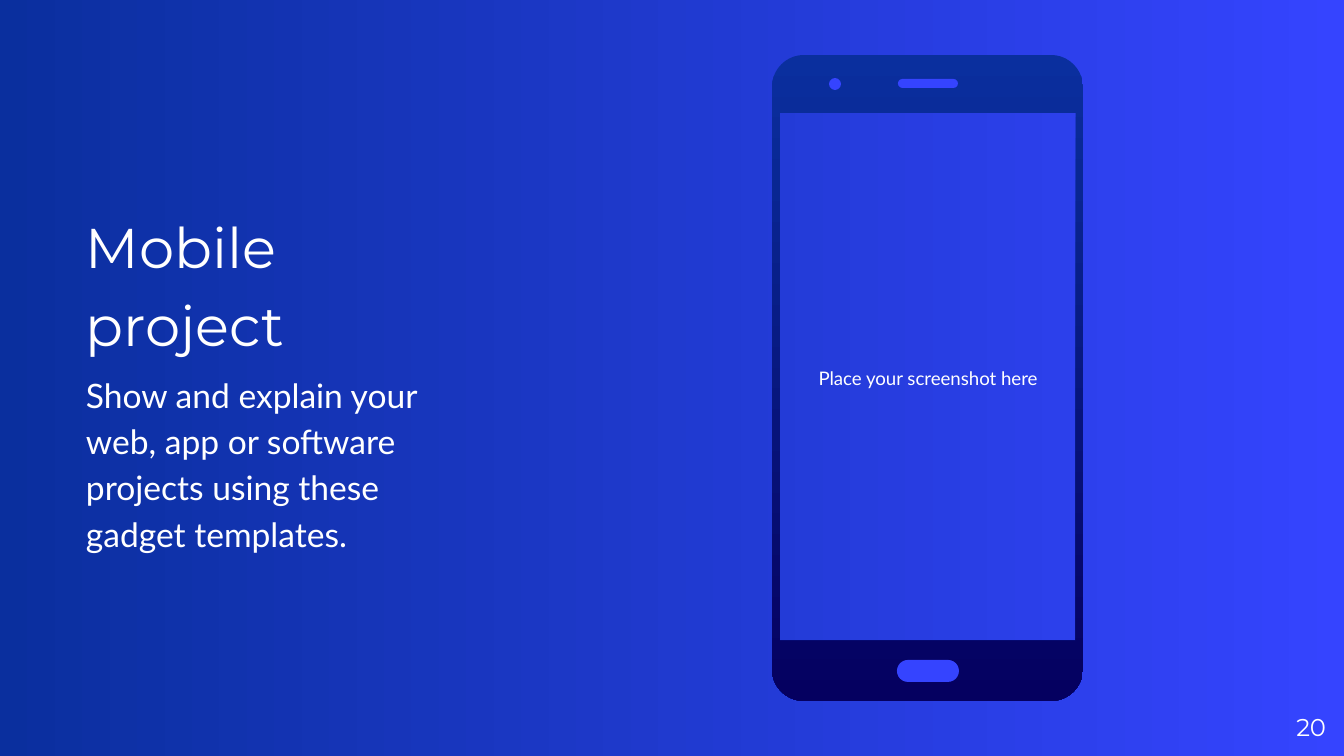
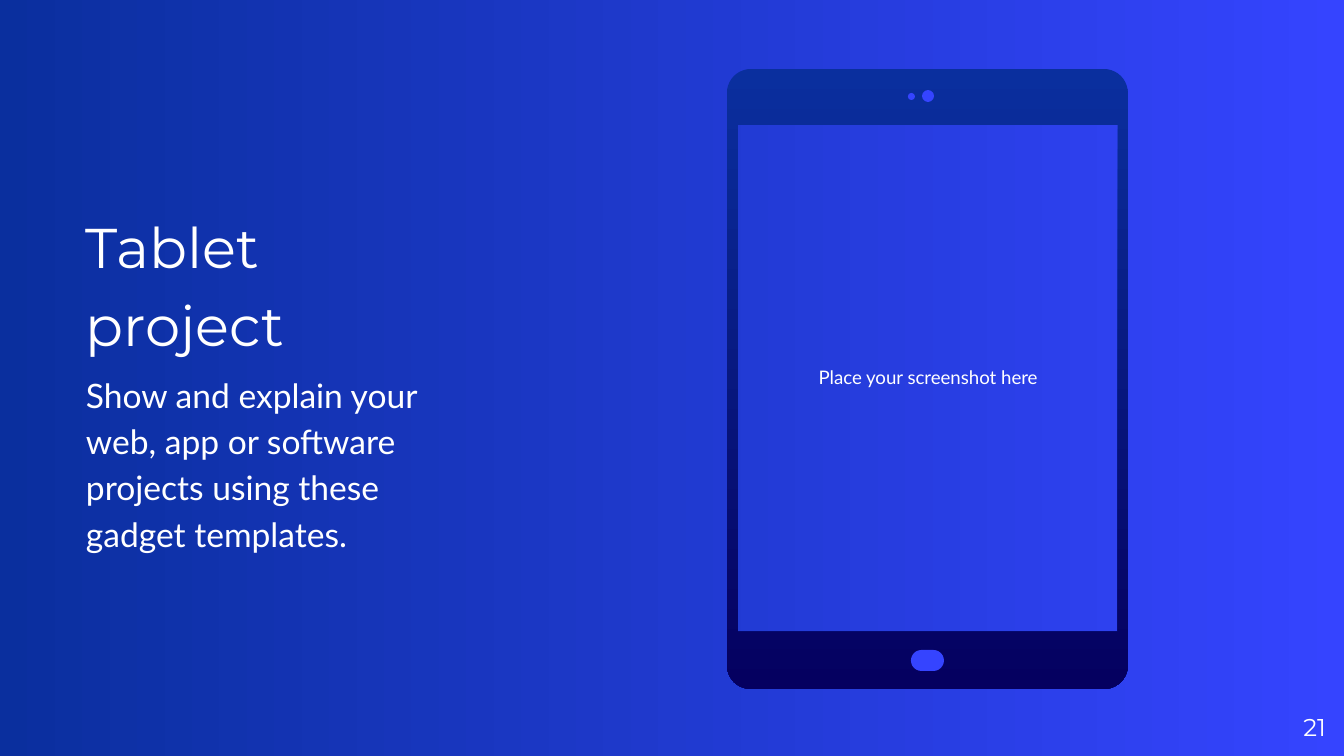
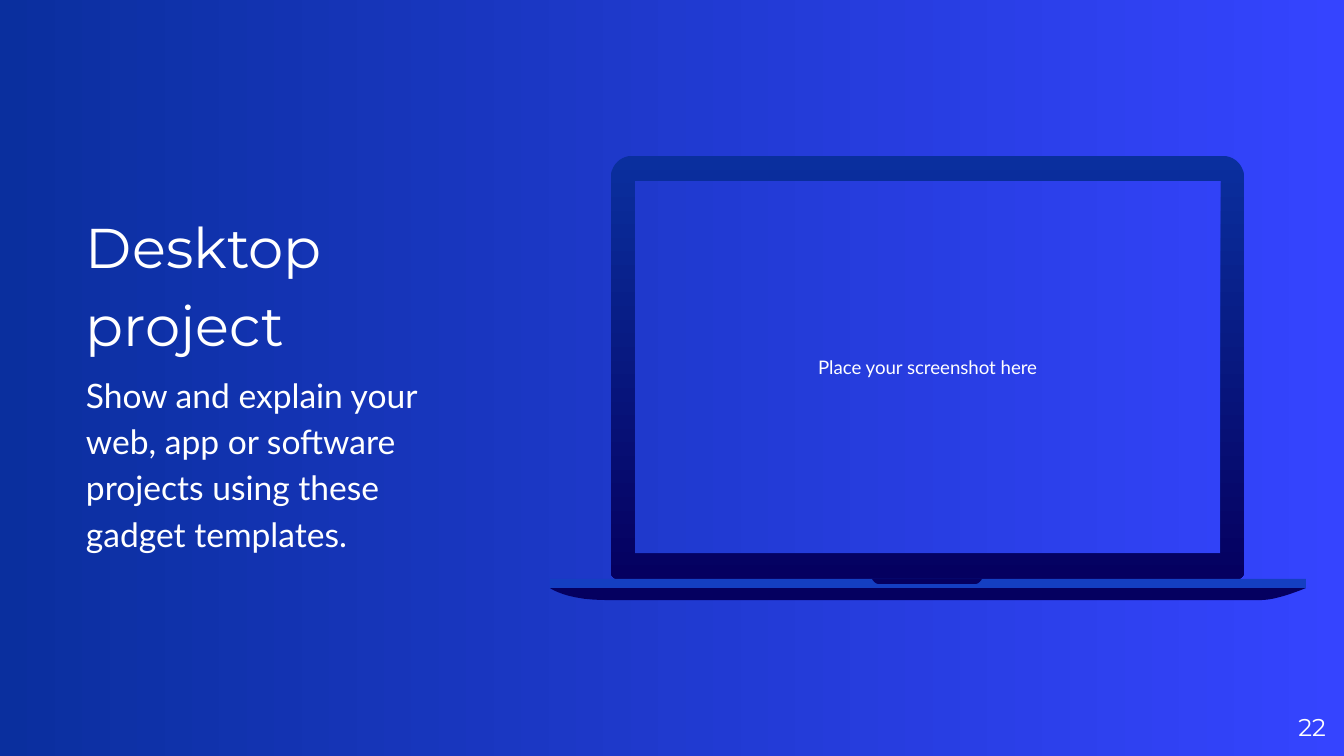
from math import cos, radians, sin

from pptx import Presentation
from pptx import util as u
from pptx.dml.color import RGBColor
from pptx.enum import shapes, text

BRIGHT = RGBColor(0x35, 0x44, 0xFF)
BLUE = RGBColor(0x0A, 0x2F, 0x9E)
NAVY = RGBColor(0x05, 0x00, 0x60)
HINGE = RGBColor(0x14, 0x3F, 0xC2)
WHITE = RGBColor(0xFF, 0xFF, 0xFF)

SLIDE_W, SLIDE_H = 1344, 756
EMU = 9144000 / SLIDE_W
TITLE_ONLY = 5
OVAL = shapes.MSO_SHAPE.OVAL
PILL = shapes.MSO_SHAPE.ROUNDED_RECTANGLE
BAR = shapes.MSO_SHAPE.RECTANGLE

HEADING = dict(size=u.Pt(30), name="Montserrat")
BODY = dict(size=u.Pt(18), name="Lato")
HINT = dict(size=u.Pt(10), name="Lato")
NUMBER = dict(size=u.Pt(13), name="Montserrat")

COPY_BOX = (86, 116, 372, 525)
NUMBER_BOX = (1246, 698, 80, 58)
COPY = "Show and explain your web, app or software projects using these gadget templates."
PROMPT = "Place your screenshot here"
FIRST_NUMBER = 20

GADGETS = [
    dict(title="Mobile project", hint=(781, 116, 294, 525),
         frame=(772, 55, 1083, 701), radii=(32, 32), screen=(780, 113, 1076, 641),
         parts=[(PILL, (897, 660, 62, 22), BRIGHT),
                (OVAL, (829, 78, 12, 12), BRIGHT),
                (PILL, (898, 79, 60, 9), BRIGHT)], lips=[]),
    dict(title="Tablet\nproject", hint=(737, 125, 382, 505),
         frame=(727, 69, 1128, 689), radii=(24, 24), screen=(738, 125, 1118, 632),
         parts=[(PILL, (911, 650, 33, 21), BRIGHT),
                (OVAL, (908, 93, 7, 7), BRIGHT),
                (OVAL, (922, 90, 12, 12), BRIGHT)], lips=[]),
    dict(title="Desktop project", hint=(633, 180, 589, 375),
         frame=(611, 156, 1244, 579), radii=(21, 7), screen=(635, 181, 1221, 554),
         parts=[(BAR, (550, 579, 756, 9), HINGE)],
         lips=[((550, 588, 1306, 600), (16, 55), (28, 44)),
               ((872, 579, 982, 584), (3, 6), (3, 6))]),
]


def px(n):
    return u.Emu(round(n * EMU))


def box_emu(box):
    return [px(n) for n in box]


def paint_gradient(fill, first, last, angle):
    fill.gradient()
    fill.gradient_angle = angle
    for stop, position, color in zip(fill.gradient_stops, (0, 1), (first, last)):
        stop.position, stop.color.rgb = position, color


def finish(sp, color=None):
    sp.shadow.inherit = False
    sp.line.fill.background()
    if color is None:
        paint_gradient(sp.fill, BLUE, NAVY, 270)
    else:
        sp.fill.solid()
        sp.fill.fore_color.rgb = color


def write(sp, lines, align, inset=0, **spacing):
    tf = sp.text_frame
    frame = dict(word_wrap=True, auto_size=text.MSO_AUTO_SIZE.NONE,
                 vertical_anchor=text.MSO_ANCHOR.MIDDLE)
    frame.update({f"margin_{side}": px(inset) for side in ("left", "top", "right", "bottom")})
    for key, value in frame.items():
        setattr(tf, key, value)
    for i, (words, font) in enumerate(lines):
        p = tf.paragraphs[0] if i == 0 else tf.add_paragraph()
        p.text = words
        for key, value in dict(alignment=align, **spacing).items():
            setattr(p, key, value)
        for r in p.runs:
            r.font.color.rgb = WHITE
            for key, value in font.items():
                setattr(r.font, key, value)


def rounded_outline(box, radii):
    l, t, r, b = box
    top, bottom = radii
    corners = [(l + top, t + top, top, 180), (r - top, t + top, top, 270),
               (r - bottom, b - bottom, bottom, 0), (l + bottom, b - bottom, bottom, 90)]
    return [(x + rad * cos(radians(start + step)), y + rad * sin(radians(start + step)))
            for x, y, rad, start in corners for step in range(0, 91, 9)]


def lip_outline(box, left, right):
    l, t, r, b = box

    def side(edge, sign, pull, inset):
        points = []
        for i in range(11):
            k = i / 10
            rise = 3 * (1 - k) * k ** 2 + k ** 3
            shift = 3 * (1 - k) * k ** 2 * pull + k ** 3 * inset
            points.append((edge + sign * shift, t + (b - t) * rise))
        return points

    return side(l, 1, *left) + side(r, -1, *right)[::-1]


def add_outline(group, contours, color=None):
    fb = None
    for contour in contours:
        points = [(px(x), px(y)) for x, y in contour]
        if fb is None:
            fb = group.shapes.build_freeform(*points[0])
        else:
            fb.move_to(*points[0])
        fb.add_line_segments(points[1:], close=True)
    finish(fb.convert_to_shape(), color)


def add_gadget(s, gadget):
    group = s.shapes.add_group_shape()
    l, t, r, b = gadget["screen"]
    add_outline(group, [rounded_outline(gadget["frame"], gadget["radii"]),
                        [(l, t), (l, b), (r, b), (r, t)]])
    for kind, box, color in gadget["parts"]:
        sp = group.shapes.add_shape(kind, *box_emu(box))
        if kind == PILL:
            sp.adjustments[0] = 0.5
        finish(sp, color)
    for lip in gadget["lips"]:
        add_outline(group, [lip_outline(*lip)], NAVY)


def add_slide(prs, number, gadget):
    s = prs.slides.add_slide(prs.slide_layouts[TITLE_ONLY])
    paint_gradient(s.background.fill, BRIGHT, BLUE, 180)
    title = s.shapes.title
    title.left, title.top, title.width, title.height = box_emu(COPY_BOX)
    write(title, [(gadget["title"], HEADING), (COPY, BODY)], text.PP_ALIGN.LEFT,
          line_spacing=1.15, space_before=u.Pt(6))
    hint = s.shapes.add_textbox(*box_emu(gadget["hint"]))
    write(hint, [(PROMPT, HINT)], text.PP_ALIGN.CENTER, inset=13)
    page = s.shapes.add_textbox(*box_emu(NUMBER_BOX))
    write(page, [(str(number), NUMBER)], text.PP_ALIGN.RIGHT)
    add_gadget(s, gadget)


def main():
    prs = Presentation()
    prs.slide_width, prs.slide_height = px(SLIDE_W), px(SLIDE_H)
    for number, gadget in enumerate(GADGETS, FIRST_NUMBER):
        add_slide(prs, number, gadget)
    prs.save("out.pptx")


if __name__ == "__main__":
    main()
